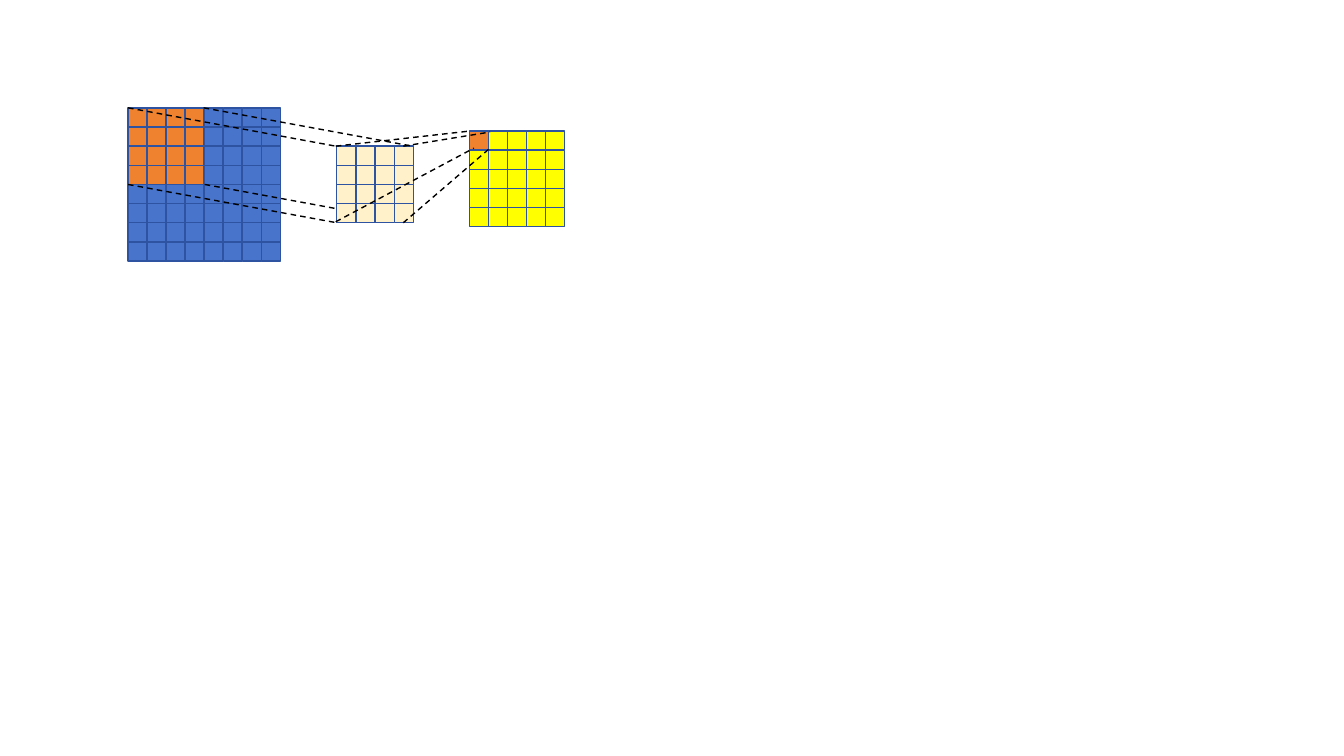
import pptx
import pptx.dml.color
import pptx.enum.dml
import pptx.enum.shapes
import pptx.oxml.ns
import pptx.util
import lxml.etree
from dataclasses import dataclass

SLIDE = (1333, 750)
EMU_PER_PX = 9144

INPUT_MAP = {"at": (127, 107, 151, 152), "cells": 8, "fill": "input", "patch": 4}
KERNEL = {"at": (334, 145, 76, 76), "cells": 4, "fill": "kernel", "patch": 0}
OUTPUT_MAP = {"at": (466, 130, 94, 95), "cells": 5, "fill": "output", "patch": 1}

HIDDEN_RAY = ((203, 183), (410, 221))
FRONT_RAYS = [
    ((127, 107), (333, 145)),
    ((127, 183), (334, 221)),
    ((202, 107), (409, 145)),
    ((333, 145), (466, 130)),
    ((400, 221), (486, 147)),
    ((400, 145), (486, 131)),
    ((333, 220), (470, 147)),
]


@dataclass(frozen=True)
class Theme:
    input: str = "4874CB"
    kernel: str = "FFF2CA"
    output: str = "FFFF00"
    patch: str = "EE822F"
    border: str = "2E54A1"
    ray: str = "000000"
    line_width: int = 1


THEME = Theme()


def px(length):
    return pptx.util.Emu(round(length * EMU_PER_PX))


def style_line(line, color):
    line.color.rgb = pptx.dml.color.RGBColor.from_string(color)
    line.width = pptx.util.Pt(THEME.line_width)


def draw_grid(page, grid):
    left, top, width, height = grid["at"]
    count = grid["cells"]
    cell_width, cell_height = width / count, height / count
    for row in range(count):
        for column in range(count):
            cell = page.shapes.add_shape(
                pptx.enum.shapes.MSO_SHAPE.RECTANGLE,
                px(left + column * cell_width), px(top + row * cell_height),
                px(cell_width), px(cell_height))
            in_patch = max(row, column) < grid["patch"]
            color = THEME.patch if in_patch else getattr(THEME, grid["fill"])
            cell.shadow.inherit = False
            cell.fill.solid()
            cell.fill.fore_color.rgb = pptx.dml.color.RGBColor.from_string(color)
            style_line(cell.line, THEME.border)


def draw_ray(page, start, end):
    ray = page.shapes.add_connector(
        pptx.enum.shapes.MSO_CONNECTOR.STRAIGHT, *map(px, start + end))
    style_line(ray.line, THEME.ray)
    ray.line.dash_style = pptx.enum.dml.MSO_LINE.DASH
    lxml.etree.SubElement(ray._element.spPr, pptx.oxml.ns.qn("a:effectLst"))


def main():
    deck = pptx.Presentation()
    deck.slide_width, deck.slide_height = map(px, SLIDE)
    page = deck.slides.add_slide(deck.slide_layouts[6])
    draw_grid(page, INPUT_MAP)
    draw_ray(page, *HIDDEN_RAY)
    draw_grid(page, KERNEL)
    draw_grid(page, OUTPUT_MAP)
    for start, end in FRONT_RAYS:
        draw_ray(page, start, end)
    deck.save("out.pptx")


if __name__ == "__main__":
    main()
